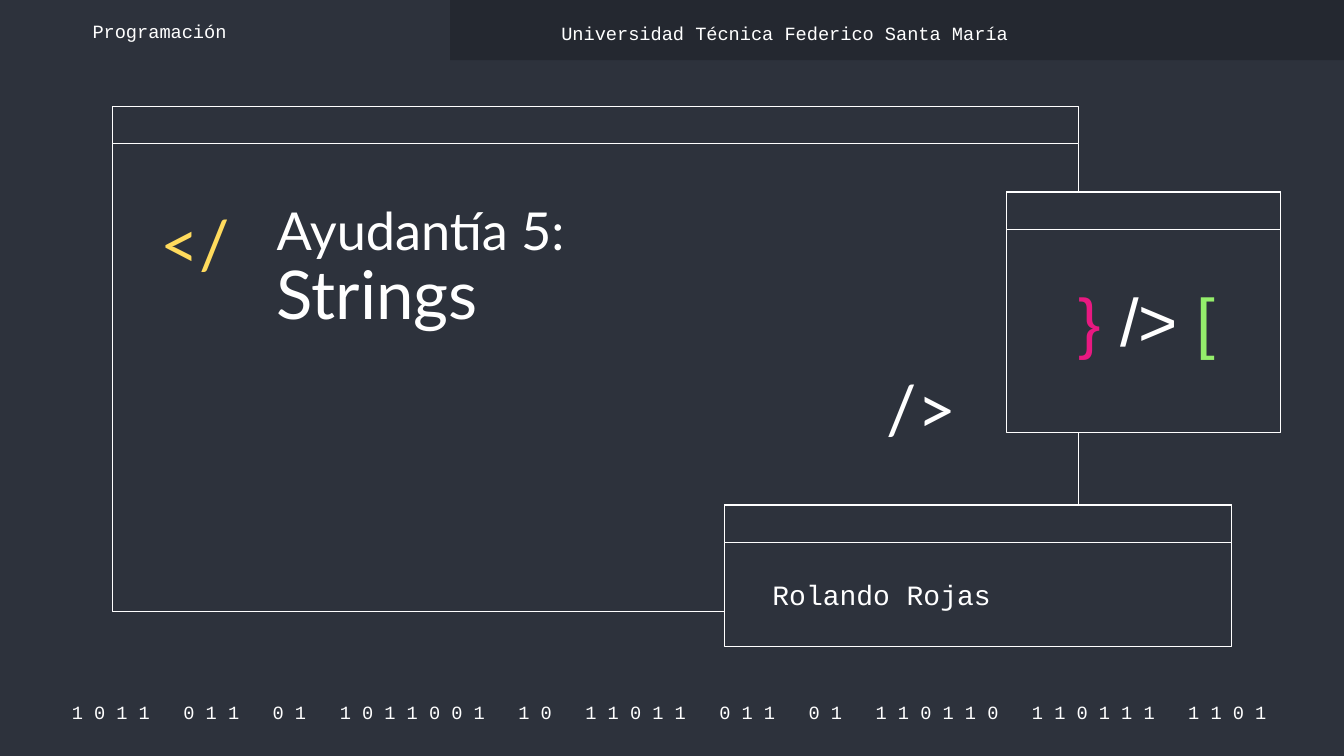
"""Build the cover slide of a programming tutorial about strings."""
import pptx
import pptx.dml.color
import pptx.enum.shapes
import pptx.enum.text
import pptx.util

Cm = pptx.util.Cm
Color = pptx.dml.color.RGBColor
Anchor = pptx.enum.text.MSO_ANCHOR
Align = pptx.enum.text.PP_ALIGN

INK = Color(0x2D, 0x32, 0x3C)
DARK = Color(0x24, 0x28, 0x30)
WHITE = Color(0xFF, 0xFF, 0xFF)
YELLOW = Color(0xFF, 0xDB, 0x5D)
PINK = Color(0xE8, 0x19, 0x81)
GREEN = Color(0x94, 0xEE, 0x6B)
MONO, SANS, PLAIN = "Courier New", "Lato", "Arial"

HEADER_BAND = (8.51, 0, 16.89, 1.14)
TITLE_BAR = 0.71
WINDOWS = [
    (2.13, 2.01, 18.26, 9.55),
    (13.69, 9.55, 9.58, 2.67),
    (19.02, 3.63, 5.18, 4.55),
]
BINARY_GROUPS = "1011 011 01 1011001 10 11011 011 01 110110 110111 1101".split()
BINARY_AREA = (0.87, 13.21, 23.55, 0.51)
GROUP_GAP = 1200

TITLE_AREA = (4.98, 3.63, 11.53, 4.65)
TITLE_LINES = [("Ayudantía 5:", 28), ("Strings", 36)]

CODE = {"line_spacing": 0.9}
CODE_CENTRED = {"line_spacing": 0.9, "alignment": Align.CENTER}
LABELS = [
    ((2.79, 3.84, 1.96, 1.68), Anchor.MIDDLE, CODE, SANS, 36, [("</", YELLOW)]),
    ((16.51, 6.96, 1.96, 1.68), Anchor.MIDDLE, CODE, SANS, 36, [("/>", WHITE)]),
    ((19.99, 5.21, 3.38, 2.08), Anchor.TOP, CODE_CENTRED, PLAIN, 36,
     [("}", PINK), (" /> ", WHITE), ("[", GREEN)]),
    ((14.35, 10.49, 8.46, 1.47), Anchor.MIDDLE, {}, MONO, 15, [("Rolando Rojas", WHITE)]),
    ((1.5, 0.33, 5.56, 0.51), Anchor.MIDDLE, {}, MONO, 10, [("Programación", WHITE)]),
    ((10.36, 0.33, 13.84, 0.58), Anchor.MIDDLE, {}, MONO, 10,
     [("Universidad Técnica Federico Santa María", WHITE)]),
]


def apply(target, formats):
    for name, value in formats.items():
        setattr(target, name, value)


def add_panel(page, area, fill, line=None):
    panel = page.shapes.add_shape(
        pptx.enum.shapes.MSO_SHAPE.RECTANGLE, *map(Cm, area))
    panel.shadow.inherit = False
    panel.fill.solid()
    panel.fill.fore_color.rgb = fill
    if line is None:
        panel.line.fill.background()
    else:
        panel.line.color.rgb = line
        panel.line.width = pptx.util.Pt(0.75)


def prepare_frame(box, anchor, formats):
    frame = box.text_frame
    apply(frame, {
        "word_wrap": True, "vertical_anchor": anchor,
        "auto_size": pptx.enum.text.MSO_AUTO_SIZE.NONE,
        **{f"margin_{side}": Cm(0.25) for side in ("left", "top", "right", "bottom")},
    })
    para = frame.paragraphs[0]
    apply(para, {"alignment": Align.LEFT, **formats})
    return para


def add_span(para, text, font, size, color):
    span = para.add_run()
    span.text = text
    apply(span.font, {"name": font, "size": pptx.util.Pt(size)})
    span.font.color.rgb = color
    return span


def add_box(page, area, anchor, formats):
    return prepare_frame(page.shapes.add_textbox(*map(Cm, area)), anchor, formats)


def add_binary_row(page):
    para = add_box(page, BINARY_AREA, Anchor.MIDDLE, {"alignment": Align.CENTER})
    for index, group in enumerate(BINARY_GROUPS):
        if index:
            gap = add_span(para, " ", MONO, 10, WHITE)
            gap.font._element.set("spc", str(GROUP_GAP))
        add_span(para, " ".join(group), MONO, 10, WHITE)


def place_title(page):
    title = page.shapes.title
    apply(title, dict(zip(("left", "top", "width", "height"), map(Cm, TITLE_AREA))))
    para = prepare_frame(title, Anchor.TOP, CODE)
    for index, (text, size) in enumerate(TITLE_LINES):
        if index:
            para.add_line_break()
        add_span(para, text, SANS, size, WHITE)
    page.shapes._spTree.append(title._element)


def main():
    deck = pptx.Presentation()
    apply(deck, {"slide_width": Cm(25.4), "slide_height": Cm(14.29)})
    page = deck.slides.add_slide(deck.slide_layouts[5])
    page.background.fill.solid()
    page.background.fill.fore_color.rgb = INK

    add_binary_row(page)
    add_panel(page, HEADER_BAND, DARK)
    for left, top, width, height in WINDOWS:
        for part_height in (height, TITLE_BAR):
            add_panel(page, (left, top, width, part_height), INK, WHITE)
    for area, anchor, formats, font, size, pieces in LABELS:
        para = add_box(page, area, anchor, formats)
        for text, color in pieces:
            add_span(para, text, font, size, color)
    place_title(page)
    deck.save("out.pptx")


if __name__ == "__main__":
    main()
